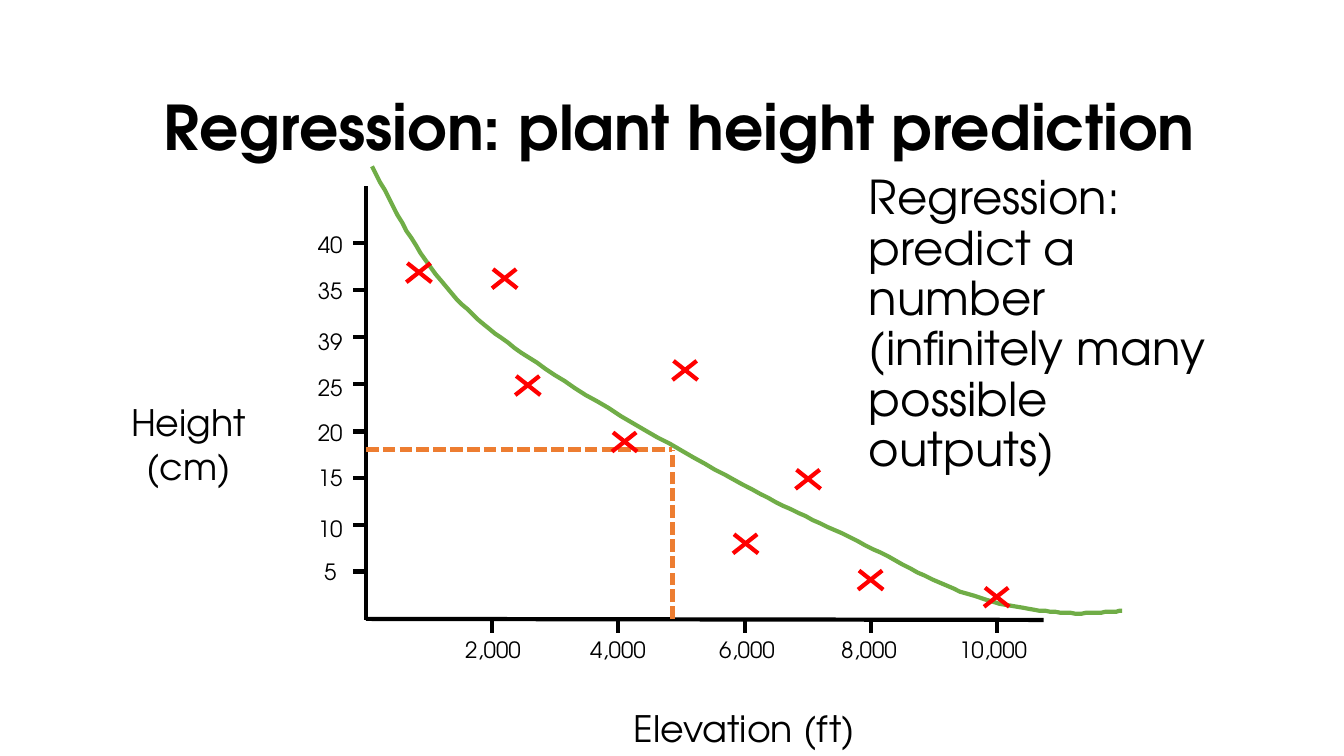
"""Build the plant height regression slide."""
from pptx import Presentation
from pptx.dml.color import RGBColor
from pptx.enum.dml import MSO_LINE as Dash
from pptx.enum.shapes import MSO_CONNECTOR as Connector
from pptx.enum.text import MSO_ANCHOR as Anchor, MSO_AUTO_SIZE as AutoSize, PP_ALIGN as Align
from pptx.oxml.ns import qn
from pptx.util import Pt
from lxml.etree import SubElement

PX = 9144
FONT = "TeX Gyre Adventor"
COLORS = {"ink": "000000", "point": "FF0000", "curve": "70AD47", "guide": "ED7D31"}
AXIS_X, AXIS_Y = 363, 614
X_LABELS = {"2,000": 429, "4,000": 553, "6,000": 681, "8,000": 802, "10,000": 925}
Y_LABELS = {"5": 549, "10": 506, "15": 456, "20": 411,
            "25": 366, "39": 321, "35": 270, "40": 224}
POINTS = [(403, 261), (511, 373), (488, 267), (727, 530), (607, 429),
          (667, 358), (851, 566), (789, 466), (976, 583)]
CURVE_START = (369, 165)
CURVE = [((391, 208), (414, 252), (443, 285)),
         ((471, 318), (495, 335), (541, 366)),
         ((587, 397), (668, 443), (719, 471)),
         ((769, 499), (802, 514), (843, 533)),
         ((883, 553), (924, 577), (959, 589)),
         ((994, 602), (1026, 605), (1052, 608)),
         ((1077, 610), (1113, 606), (1113, 606))]


def style_line(line, color):
    line.color.rgb = RGBColor.from_string(COLORS[color])
    line.width = Pt(3)


def add_line(shapes, start, end, color="ink", dashed=False):
    ends = [v * PX for v in (*start, *end)]
    connector = shapes.add_connector(Connector.STRAIGHT, *ends)
    style_line(connector.line, color)
    if dashed:
        connector.line.dash_style = Dash.SQUARE_DOT
    SubElement(connector._element.spPr, qn("a:effectLst"))


def write(frame, lines, size, align=Align.CENTER, bold=False, spacing=None):
    frame.word_wrap = True
    frame.text = "\n".join(lines)
    for paragraph in frame.paragraphs:
        paragraph.alignment = align
        if spacing:
            paragraph.line_spacing = spacing
        font = paragraph.font
        font.name, font.size, font.bold = FONT, Pt(size), bold
        font.color.rgb = RGBColor.from_string(COLORS["ink"])


def add_text(shapes, box, lines, size, **style):
    frame = shapes.add_textbox(*(v * PX for v in box)).text_frame
    write(frame, lines, size, **style)
    return frame


def set_title(title, box, words):
    title.left, title.top, title.width, title.height = (v * PX for v in box)
    frame = title.text_frame
    frame.auto_size = AutoSize.NONE
    frame.vertical_anchor = Anchor.MIDDLE
    write(frame, [words], 44, bold=True, spacing=0.9)


def add_point(shapes, left, top):
    cross = shapes.add_group_shape().shapes
    add_line(cross, (left + 1, top), (left + 25, top + 19), "point")
    add_line(cross, (left, top + 19), (left + 24, top), "point")


def bezier(a, b, c, d, t):
    u = 1 - t
    return tuple(u**3 * p + 3 * u * u * t * q + 3 * u * t * t * r + t**3 * s
                 for p, q, r, s in zip(a, b, c, d))


def add_curve(shapes, start, segments, steps=16):
    builder = shapes.build_freeform(*start, scale=PX)
    for segment in segments:
        builder.add_line_segments(
            [bezier(start, *segment, i / steps) for i in range(1, steps + 1)], close=False)
        start = segment[-1]
    trend = builder.convert_to_shape()
    trend.shadow.inherit = False
    trend.fill.background()
    style_line(trend.line, "curve")


def add_axes(shapes):
    add_line(shapes, (AXIS_X, 185), (AXIS_X, AXIS_Y))
    add_line(shapes, (1035, 615), (AXIS_X, AXIS_Y))
    add_line(shapes, (AXIS_X, 594), (AXIS_X, 615))
    for i, (label, left) in enumerate(X_LABELS.items(), 1):
        tick = round(AXIS_X + 125.2 * i)
        add_line(shapes, (tick, AXIS_Y), (tick, 628))
        add_text(shapes, (left, 626, 120, 37), [label], 16)
    for i, (label, top) in enumerate(Y_LABELS.items(), 1):
        tick = round(AXIS_Y - 46.6 * i)
        add_line(shapes, (AXIS_X, tick), (350, tick))
        add_text(shapes, (302, top, 51, 37), [label], 16)
    add_text(shapes, (578, 696, 321, 54), ["Elevation (ft)"], 26)
    add_text(shapes, (113, 392, 148, 98), ["Height", "(cm)"], 26)


def main():
    deck = Presentation()
    deck.slide_width, deck.slide_height = 1333 * PX, 750 * PX
    slide = deck.slides.add_slide(deck.slide_layouts[5])
    shapes = slide.shapes
    set_title(shapes.title, (108, 57, 1150, 145), "Regression: plant height prediction ")
    add_axes(shapes)
    add_curve(shapes, CURVE_START, CURVE)
    add_line(shapes, (667, AXIS_Y), (667, 446), "guide", dashed=True)
    add_line(shapes, (AXIS_X, 446), (667, 446), "guide", dashed=True)
    for left, top in POINTS:
        add_point(shapes, left, top)
    definition = add_text(
        shapes, (852, 178, 389, 290),
        ["Regression: predict a number (infinitely many possible outputs)"],
        33.3, align=Align.LEFT, spacing=0.9)
    definition.vertical_anchor = Anchor.MIDDLE
    deck.save("out.pptx")


if __name__ == "__main__":
    main()
